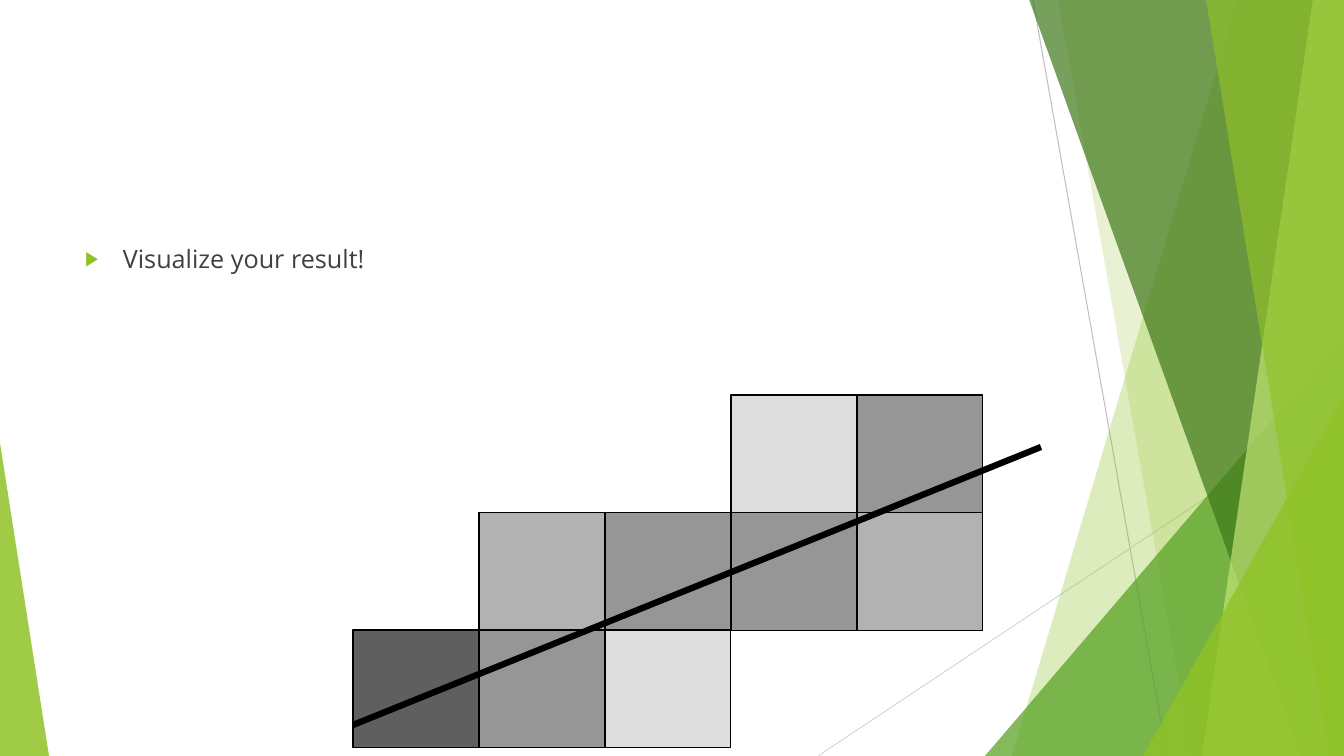
from lxml.etree import SubElement
from pptx import Presentation
from pptx.dml.color import RGBColor
from pptx.enum.shapes import MSO_CONNECTOR as Link, MSO_SHAPE as Shape
from pptx.enum.text import MSO_ANCHOR as Anchor, MSO_AUTO_SIZE as Fit, PP_ALIGN as Align
from pptx.oxml.ns import qn
from pptx.util import Pt

WIDE, HIGH = 1344, 756
SCALE = 914400 / 100.8
FONT = "Open Sans"
NOTE = "Visualize your result!"
NOTE_BOX = (75, 238, 948, 427)

LIME = RGBColor(0x90, 0xC2, 0x26)
GREEN = RGBColor(0x54, 0xA0, 0x21)
DARK = RGBColor(0x3F, 0x78, 0x19)
PALE = RGBColor(0xC0, 0xE4, 0x74)
BLACK = RGBColor(0, 0, 0)
INK = RGBColor(0x40, 0x40, 0x40)
SILVER = RGBColor(0xBF, 0xBF, 0xBF)
MIST = RGBColor(0xD9, 0xD9, 0xD9)
COAL = RGBColor(0x5F, 0x5F, 0x5F)
GREY = RGBColor(0x96, 0x96, 0x96)
ASH = RGBColor(0xB2, 0xB2, 0xB2)
LIGHT = RGBColor(0xDD, 0xDD, 0xDD)

THIN_LINES = [
    ((1033, 0), (1167, HIGH), SILVER),
    ((WIDE, 406), (818, HIGH), MIST),
]
# Each facet: kind, geometry, colour, opacity in percent
FACETS = [
    ("band", (1238, 1012), LIME, 30),
    ("band", (1058, 1192), LIME, 20),
    ("right", (985, 336, 359, 420), GREEN, 72),
    ("band", (1029, 1301), DARK, 70),
    ("band", (1313, 1202), PALE, 70),
    ("band", (1206, 1329), LIME, 65),
    ("right", (1143, 396, 201, 360), LIME, 80),
    ("left", (0, 443, 49, 313), LIME, 85),
]
GRID = [
    (None, None, None, LIGHT, GREY),
    (None, ASH, GREY, GREY, ASH),
    (COAL, GREY, LIGHT, None, None),
]
GRID_X, GRID_Y, CELL_W, CELL_H = 353, 395, 126, 118
TREND = ((353, 725), (1041, 447), BLACK)


def emu(*nums):
    """Turn px into EMU."""
    return [round(n * SCALE) for n in nums]


def paint(shape, color, alpha=100):
    """Fill a shape flatly, without outline or shadow."""
    shape.shadow.inherit = False
    shape.fill.solid()
    shape.fill.fore_color.rgb = color
    shape.line.fill.background()
    if alpha < 100:
        tone = shape.fill._xPr.find(qn("a:solidFill"))[0]
        SubElement(tone, qn("a:alpha"), val=str(alpha * 1000))


def add_line(shapes, start, end, color, width):
    """Draw a straight line."""
    line = shapes.add_connector(Link.STRAIGHT, *emu(*start, *end))
    line.line.color.rgb = color
    line.line.width = Pt(width)
    SubElement(line.element.spPr, qn("a:effectLst"))


def add_facet(shapes, kind, geom, color, alpha):
    """Draw one translucent band or corner triangle."""
    if kind == "band":
        top, foot = geom
        pen = shapes.build_freeform(top, -1, scale=SCALE)
        pen.add_line_segments([(WIDE, -1), (WIDE, HIGH), (foot, HIGH)], close=True)
        facet = pen.convert_to_shape()
    else:
        facet = shapes.add_shape(Shape.ISOSCELES_TRIANGLE, *emu(*geom))
        facet.adjustments[0] = 1 if kind == "right" else 0
    paint(facet, color, alpha)


def add_grid(shapes):
    """Draw the shaded cells."""
    for row, tones in enumerate(GRID):
        for col, tone in enumerate(tones):
            if tone is None:
                continue
            left = GRID_X + col * CELL_W
            top = GRID_Y + row * (CELL_H - 0.5)
            cell = shapes.add_shape(Shape.RECTANGLE, *emu(left, top, CELL_W, CELL_H))
            paint(cell, tone)
            cell.line.color.rgb = BLACK
            cell.line.width = Pt(0.75)


def set_note(body):
    """Place and format the bullet text."""
    body.left, body.top, body.width, body.height = emu(*NOTE_BOX)
    frame = body.text_frame
    frame.text = NOTE
    frame.word_wrap = True
    frame.auto_size = Fit.NONE
    frame.vertical_anchor = Anchor.TOP
    para = frame.paragraphs[0]
    para.alignment = Align.LEFT
    para.space_before = Pt(10)
    font = para.runs[0].font
    font.name, font.size = FONT, Pt(18)
    font.color.rgb = INK
    props = para._p.get_or_add_pPr()
    props.set("marL", str(Pt(27)))
    props.set("indent", str(-Pt(27)))
    SubElement(SubElement(props, qn("a:buClr")), qn("a:srgbClr"), val=str(LIME))
    SubElement(props, qn("a:buSzPct"), val="80000")
    SubElement(props, qn("a:buFont"), typeface=FONT)
    SubElement(props, qn("a:buChar"), char="▶")


def main():
    """Build the slide and save it."""
    deck = Presentation()
    deck.slide_width, deck.slide_height = emu(WIDE, HIGH)
    slide = deck.slides.add_slide(deck.slide_layouts[1])
    shapes = slide.shapes
    title = shapes.title.element
    title.getparent().remove(title)
    set_note(slide.placeholders[1])
    for start, end, color in THIN_LINES:
        add_line(shapes, start, end, color, 0.75)
    for facet in FACETS:
        add_facet(shapes, *facet)
    add_grid(shapes)
    add_line(shapes, *TREND, 4.5)
    deck.save("out.pptx")


if __name__ == "__main__":
    main()
